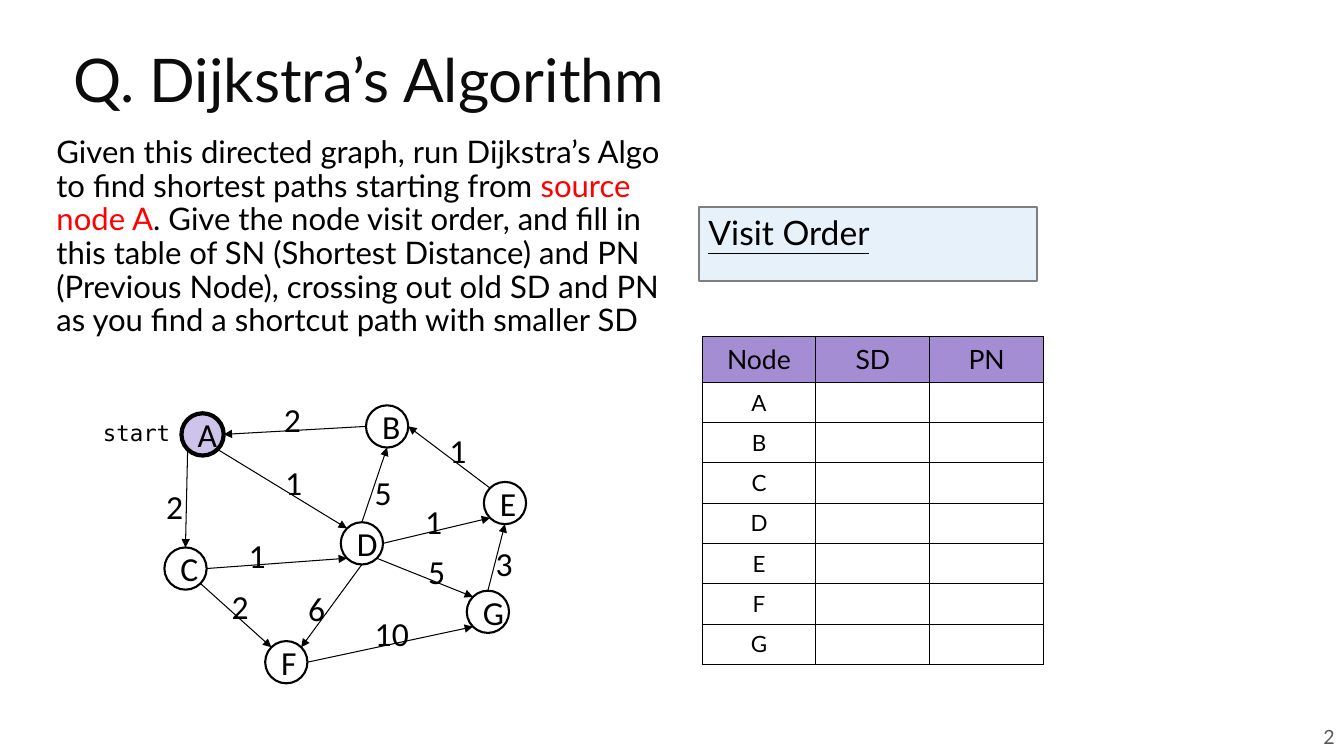
import math

import pptx
import pptx.dml.color
import pptx.enum.shapes
import pptx.enum.text
import pptx.oxml
import pptx.oxml.ns
import pptx.util
from lxml import etree

Pt = pptx.util.Pt
ALIGN = pptx.enum.text.PP_ALIGN
ANCHOR = pptx.enum.text.MSO_ANCHOR
SHAPE = pptx.enum.shapes.MSO_SHAPE

COLORS = {
    "black": "000000", "title": "0C0C0C", "page": "595959", "key": "FF0000",
    "header": "A48DD3", "cell": "FFFFFF", "start": "CEC4EB",
    "panel": "E7F1FA", "panel line": "7F7F7F",
}

TITLE = "Q. Dijkstra’s Algorithm"
QUESTION = [
    ("Given this directed graph, run Dijkstra’s Algo to find shortest paths "
     "starting from ", "black"),
    ("source node A", "key"),
    (". Give the node visit order, and fill in this table of SN (Shortest "
     "Distance) and PN (Previous Node), crossing out old SD and PN as you find "
     "a shortcut path with smaller SD", "black"),
]
VISIT_ORDER = "Visit Order"
TABLE_HEADER = ["Node", "SD", "PN"]
START_LABEL = "start"
START_NODE = "A"
PAGE_NUMBER = "2"

# Node: centre x, centre y
NODES = {
    "A": (144.7, 310.3), "B": (276.5, 304.6), "C": (132.5, 406.1),
    "D": (258.5, 388.1), "F": (204.5, 473), "E": (360.7, 359.3),
    "G": (348.5, 437),
}
# From node and side, to node and side, weight, left and top of the weight
EDGES = [
    ("A", "SW", "C", "N", "2", 111.6, 343.4),
    ("B", "W", "A", "E", "2", 195.8, 281.5),
    ("D", "N", "B", "S", "5", 260.6, 333.4),
    ("A", "SE", "D", "NW", "1", 196.6, 326.2),
    ("C", "E", "D", "SW", "1", 170.6, 378.7),
    ("D", "E", "E", "SW", "1", 296.6, 354.2),
    ("E", "NW", "B", "E", "1", 313.9, 303.8),
    ("C", "SE", "F", "NW", "2", 158.4, 414.7),
    ("D", "S", "F", "NE", "6", 213.1, 416.2),
    ("D", "SE", "G", "NW", "5", 298.8, 390.2),
    ("G", "N", "E", "S", "3", 347, 384.5),
    ("F", "E", "G", "SW", "10", 260.6, 434.2),
]
SIDES = ["E", "SE", "S", "SW", "W", "NW", "N", "NE"]
RADIUS = 15.1
DIGIT_WIDTH = 12.2

prs = pptx.Presentation()
prs.slide_width, prs.slide_height = Pt(960), Pt(540)
slide = prs.slides.add_slide(prs.slide_layouts[6])


def rgb(name):
    return pptx.dml.color.RGBColor.from_string(COLORS[name])


def write(frame, runs, size, font="Lato", align=ALIGN.LEFT, anchor=ANCHOR.TOP,
          margins=(7.2, 3.6), spacing=None, wrap=True):
    """Fill a text frame with one paragraph of (text, colour name) runs."""
    frame.word_wrap = wrap
    frame.vertical_anchor = anchor
    frame.margin_left = frame.margin_right = Pt(margins[0])
    frame.margin_top = frame.margin_bottom = Pt(margins[1])
    paragraph = frame.paragraphs[0]
    paragraph.alignment = align
    paragraph.line_spacing = spacing
    for text, color in runs:
        run = paragraph.add_run()
        run.text = text
        run.font.size, run.font.name = Pt(size), font
        run.font.color.rgb = rgb(color)


def add_text(left, top, width, height, runs, size, **style):
    box = slide.shapes.add_textbox(Pt(left), Pt(top), Pt(width), Pt(height))
    write(box.text_frame, runs, size, **style)


def add_panel(preset, left, top, width, height, fill, line, weight):
    panel = slide.shapes.add_shape(preset, Pt(left), Pt(top), Pt(width), Pt(height))
    panel.shadow.inherit = False
    if fill:
        panel.fill.solid()
        panel.fill.fore_color.rgb = rgb(fill)
    else:
        panel.fill.background()
    panel.line.color.rgb = rgb(line)
    panel.line.width = Pt(weight)
    return panel.text_frame


def rim_point(node, side):
    """Point on a node's circle at one of the eight compass sides."""
    angle = SIDES.index(side) * math.pi / 4
    x, y = NODES[node]
    return Pt(x + RADIUS * math.cos(angle)), Pt(y + RADIUS * math.sin(angle))


def add_arrow(begin, end):
    arrow = slide.shapes.add_connector(
        pptx.enum.shapes.MSO_CONNECTOR.STRAIGHT, *begin, *end)
    arrow.line.color.rgb = rgb("black")
    arrow.line.width = Pt(0.75)
    qn = pptx.oxml.ns.qn
    etree.SubElement(arrow.line._get_or_add_ln(), qn("a:tailEnd"), type="triangle")
    etree.SubElement(arrow._element.spPr, qn("a:effectLst"))


def format_cell(cell, fill):
    cell.fill.solid()
    cell.fill.fore_color.rgb = rgb(fill)
    cell.vertical_anchor = ANCHOR.MIDDLE
    cell.margin_left = cell.margin_right = Pt(5)
    cell.margin_top = cell.margin_bottom = Pt(3)
    properties = cell._tc.get_or_add_tcPr()
    for position, edge in enumerate(("lnL", "lnR", "lnT", "lnB")):
        properties.insert(position, pptx.oxml.parse_xml(
            f'<a:{edge} {pptx.oxml.ns.nsdecls("a")} w="{Pt(0.75)}"><a:solidFill>'
            f'<a:srgbClr val="{COLORS["black"]}"/></a:solidFill></a:{edge}>'))


def add_distance_table():
    rows = [TABLE_HEADER] + [[node, "", ""] for node in sorted(NODES)]
    table = slide.shapes.add_table(
        len(rows), len(TABLE_HEADER), Pt(501.5), Pt(240.2), Pt(243.9), Pt(234.4)).table
    table.horz_banding = False
    for column in table.columns:
        column.width = Pt(81.3)
    for r, texts in enumerate(rows):
        table.rows[r].height = Pt(28.8 if r else 32.8)
        for c, text in enumerate(texts):
            cell = table.cell(r, c)
            format_cell(cell, "cell" if r else "header")
            paragraph = cell.text_frame.paragraphs[0]
            paragraph.text = text
            paragraph.alignment = ALIGN.CENTER
            for run in paragraph.runs:
                run.font.size, run.font.name = Pt(16 if r else 19), "Lato"
                run.font.bold = False
                run.font.color.rgb = rgb("black")


def add_graph():
    for node, (x, y) in NODES.items():
        is_start = node == START_NODE
        circle = add_panel(SHAPE.OVAL, x - RADIUS, y - RADIUS, 2 * RADIUS, 2 * RADIUS,
                           "start" if is_start else None, "black", 3 if is_start else 1.5)
        write(circle, [(node, "black")], 24, font="Calibri",
              align=ALIGN.CENTER, anchor=ANCHOR.MIDDLE)
    for source, source_side, target, target_side, weight, left, top in EDGES:
        add_arrow(rim_point(source, source_side), rim_point(target, target_side))
        add_text(left, top, 14.4 + DIGIT_WIDTH * len(weight), 36, [(weight, "black")],
                 24, font="Calibri", wrap=False)
    add_text(54.7, 290.2, 76.3, 37.4, [(START_LABEL, "black")], 16,
             font="DejaVu Sans Mono", align=ALIGN.RIGHT, margins=(9.4, 9.4))


add_text(915.1, 510.5, 45.4, 31, [(PAGE_NUMBER, "page")], 14,
         align=ALIGN.RIGHT, anchor=ANCHOR.MIDDLE, margins=(7.2, 7.2))
add_text(45.4, 20.9, 880.6, 79.9, [(TITLE, "title")], 43,
         anchor=ANCHOR.MIDDLE, spacing=0.8)
add_distance_table()
add_text(36.7, 94.3, 447.1, 165.6, QUESTION, 22.2, margins=(3.6, 3.6), spacing=0.9)
visit_order = add_panel(SHAPE.RECTANGLE, 499, 147.6, 241.9, 53.3,
                        "panel", "panel line", 1.5)
write(visit_order, [(VISIT_ORDER, "black")], 24)
visit_order.paragraphs[0].runs[0].font.underline = True
add_graph()

prs.save("out.pptx")
